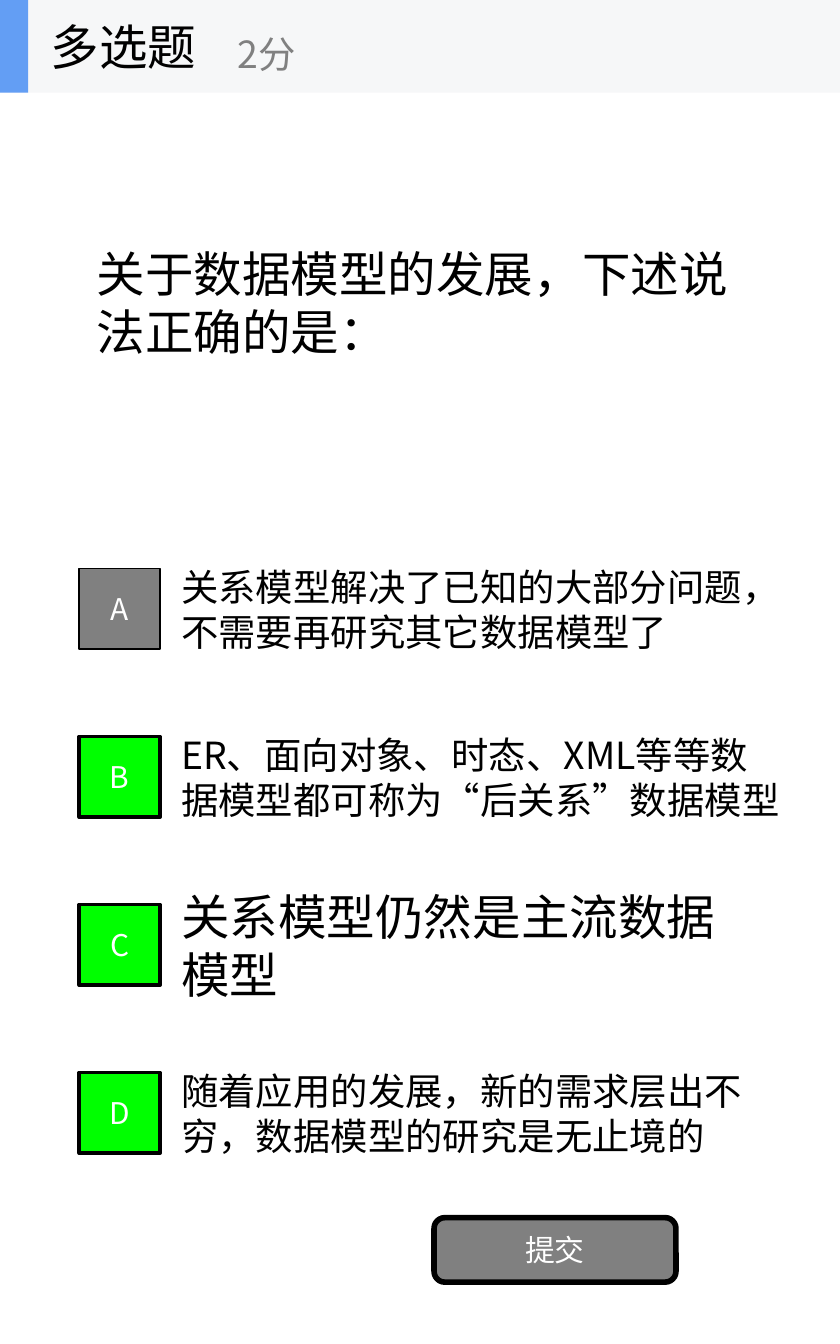
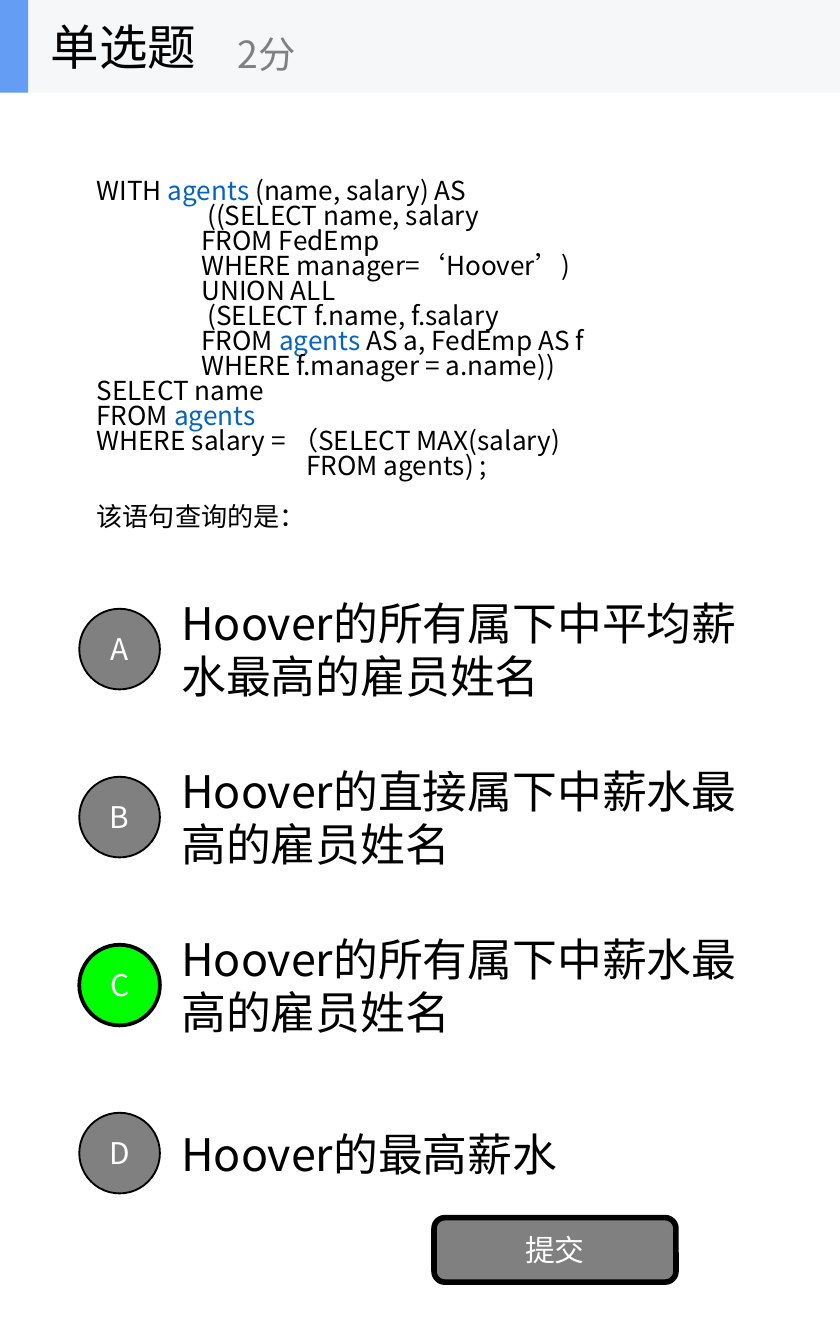
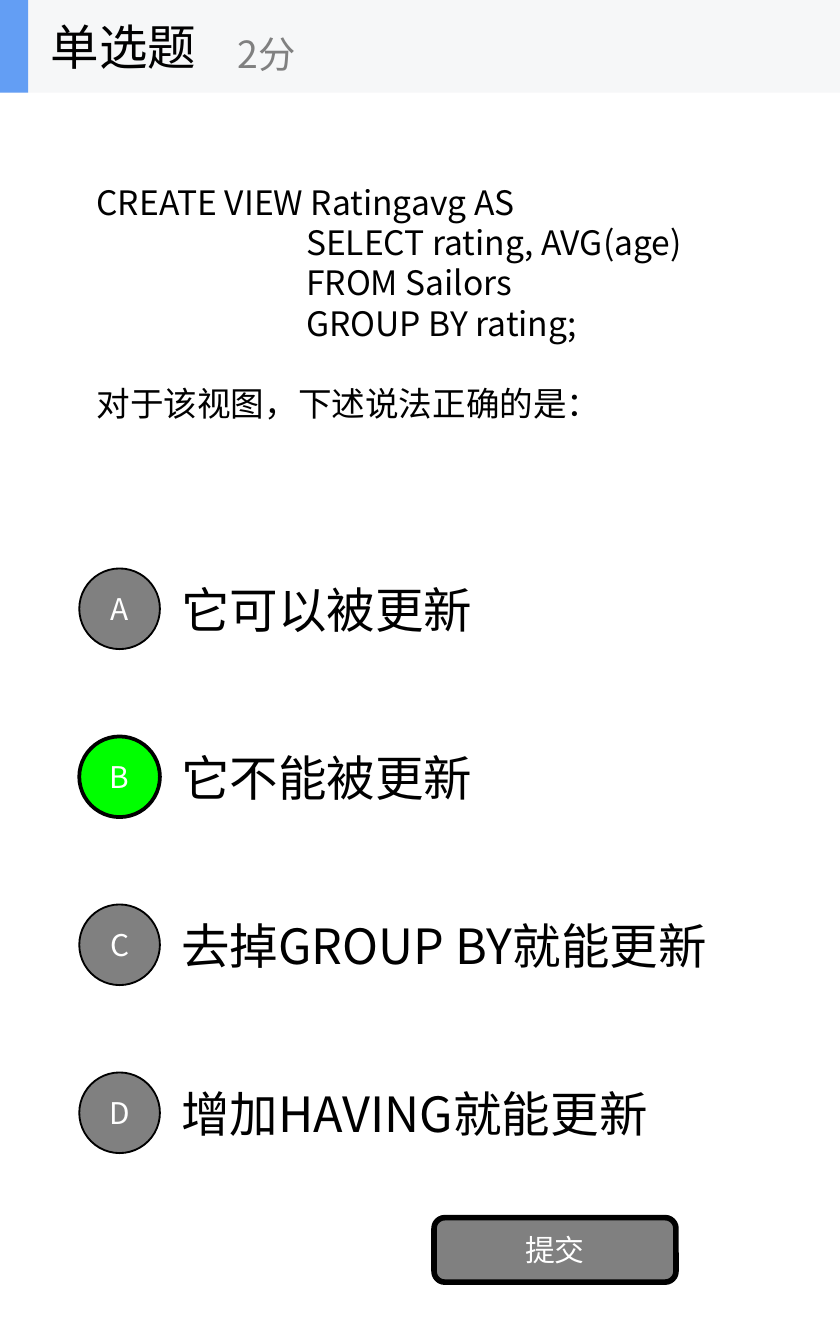
from lxml import etree
from pptx import Presentation
from pptx.dml.color import RGBColor
from pptx.enum.shapes import MSO_SHAPE as SHAPE
from pptx.enum.text import MSO_ANCHOR as ANCHOR, PP_ALIGN as ALIGN
from pptx.oxml.ns import qn
from pptx.util import Inches, Pt

FONT = "Noto Sans CJK SC"
BLACK = RGBColor(0x00, 0x00, 0x00)
WHITE = RGBColor(0xFF, 0xFF, 0xFF)
GRAY = RGBColor(0x80, 0x80, 0x80)
GREEN = RGBColor(0x00, 0xFF, 0x00)
BAND = RGBColor(0xF6, 0xF7, 0xF8)
ACCENT = RGBColor(0x63, 0x9E, 0xF4)
VIEW_NAME = RGBColor(0x05, 0x63, 0xC1)

OPTION_STEP = 1.25
TAB_STOPS = (0.78, 1.56)

AGENTS_QUERY = [
    "WITH |agents| (name, salary) AS",
    "\t ((SELECT name, salary",
    "\tFROM FedEmp",
    "\tWHERE manager=‘Hoover’)",
    "\tUNION ALL",
    "\t (SELECT f.name, f.salary",
    "\tFROM |agents| AS a, FedEmp AS f",
    "\tWHERE f.manager = a.name))",
    "SELECT name",
    "FROM |agents|",
    "WHERE salary = （SELECT MAX(salary)",
    "\t\tFROM agents) ;",
]
RATING_VIEW = [
    "CREATE VIEW Ratingavg AS",
    "\t\tSELECT rating, AVG(age)",
    "\t\tFROM Sailors",
    "\t\tGROUP BY rating;",
]


def set_font(p, size, color):
    p.font.size = Pt(size)
    p.font.name = FONT
    p.font.color.rgb = color
    props = p._p.pPr.find(qn("a:defRPr"))
    etree.SubElement(props, qn("a:ea"), typeface=FONT)


def add_tab_stops(p):
    tabs = etree.SubElement(p._p.get_or_add_pPr(), qn("a:tabLst"))
    for stop in TAB_STOPS:
        etree.SubElement(tabs, qn("a:tab"), pos=str(Inches(stop)), algn="l")


def add_text(shapes, box, text, size, color=BLACK, wrap=True):
    tf = shapes.add_textbox(*map(Inches, box)).text_frame
    tf.word_wrap = wrap
    tf.vertical_anchor = ANCHOR.MIDDLE
    p = tf.paragraphs[0]
    p.text = text
    set_font(p, size, color)
    return tf


def add_block(shapes, kind, box, fill, line_width=0, label=""):
    sp = shapes.add_shape(kind, *map(Inches, box))
    sp.shadow.inherit = False
    sp.fill.solid()
    sp.fill.fore_color.rgb = fill
    if line_width:
        sp.line.color.rgb = BLACK
        sp.line.width = Pt(line_width)
    else:
        sp.line.fill.background()
    if label:
        tf = sp.text_frame
        tf.vertical_anchor = ANCHOR.MIDDLE
        p = tf.paragraphs[0]
        p.text = label
        p.alignment = ALIGN.CENTER
        set_font(p, 16, WHITE)


def add_header(s, title):
    shapes = s.shapes.add_group_shape().shapes
    add_block(shapes, SHAPE.RECTANGLE, (0, 0, 6.25, 0.69), BAND)
    add_block(shapes, SHAPE.RECTANGLE, (0, 0, 0.21, 0.69), ACCENT)
    add_text(shapes, (0.28, 0, 2.08, 0.69), title, 26, wrap=False)
    add_text(shapes, (1.67, 0.12, 2.5, 0.56), "2分", 20, GRAY, wrap=False)


def add_code_question(s, height, code, question, size, line_spacing=None):
    """Code lines, with |marked| names coloured, then the question after a gap."""
    tf = add_text(s.shapes, (0.62, 0.69, 5, height), "", size)
    tf.clear()
    tf._txBody.remove(tf.paragraphs[0]._p)
    for line in code + [question]:
        p = tf.add_paragraph()
        add_tab_stops(p)
        if line_spacing:
            p.line_spacing = line_spacing
        if line == question:
            p.space_before = Pt(size * 1.2 * (line_spacing or 1))
        set_font(p, size, BLACK)
        for i, part in enumerate(line.split("|")):
            if part:
                r = p.add_run()
                r.text = part
                if i % 2:
                    r.font.color.rgb = VIEW_NAME


def add_options(s, kind, top, options, correct):
    """Lettered options; each is (text, size, width)."""
    for i, (letter, (text, size, width)) in enumerate(zip("ABCD", options)):
        y = top + i * OPTION_STEP
        right = letter in correct
        add_text(s.shapes, (1.25, y, width, 0.94), text, size)
        add_block(s.shapes, kind, (0.59, y + 0.17, 0.6, 0.6),
                  GREEN if right else GRAY, 2 if right else 1, letter)


def finish_slide(s, title):
    add_block(s.shapes, SHAPE.ROUNDED_RECTANGLE, (3.23, 9.06, 1.8, 0.48),
              GRAY, 3, "提交")
    add_header(s, title)


def main():
    prs = Presentation()
    prs.slide_width, prs.slide_height = Inches(6.25), Inches(10)
    blank = prs.slide_layouts[6]

    s = prs.slides.add_slide(blank)
    add_text(s.shapes, (0.62, 0.69, 5, 3.12),
             "关于数据模型的发展，下述说法正确的是：", 26)
    add_options(s, SHAPE.RECTANGLE, 4.06, [
        ("关系模型解决了已知的大部分问题，不需要再研究其它数据模型了", 20, 4.68),
        ("ER、面向对象、时态、XML等等数据模型都可称为“后关系”数据模型", 20, 4.68),
        ("关系模型仍然是主流数据模型", 26, 4.38),
        ("随着应用的发展，新的需求层出不穷，数据模型的研究是无止境的", 20, 4.38),
    ], "BCD")
    finish_slide(s, "多选题")

    s = prs.slides.add_slide(blank)
    add_code_question(s, 3.91, AGENTS_QUERY, "该语句查询的是：", 14, 0.8)
    answers = ["Hoover的所有属下中平均薪水最高的雇员姓名",
               "Hoover的直接属下中薪水最高的雇员姓名",
               "Hoover的所有属下中薪水最高的雇员姓名",
               "Hoover的最高薪水"]
    add_options(s, SHAPE.OVAL, 4.36, [(a, 24, 4.38) for a in answers], "C")
    finish_slide(s, "单选题")

    s = prs.slides.add_slide(blank)
    add_code_question(s, 3.12, RATING_VIEW, "对于该视图，下述说法正确的是：", 18)
    answers = ["它可以被更新", "它不能被更新",
               "去掉GROUP BY就能更新", "增加HAVING就能更新"]
    add_options(s, SHAPE.OVAL, 4.06, [(a, 26, 4.38) for a in answers], "B")
    finish_slide(s, "单选题")

    prs.save("out.pptx")


if __name__ == "__main__":
    main()
